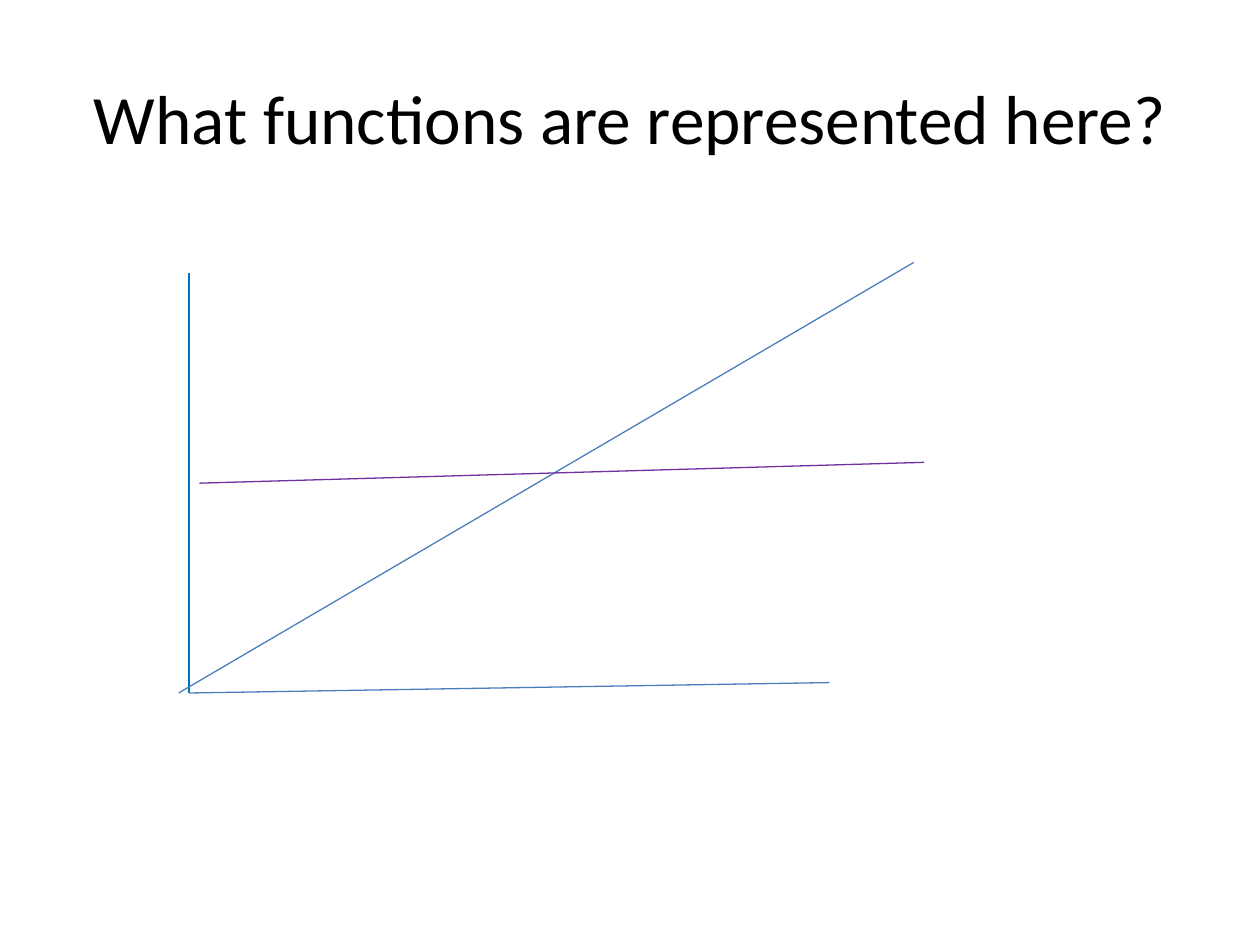
from pptx import Presentation
from pptx.dml.color import RGBColor
from pptx.enum.shapes import MSO_CONNECTOR
from pptx.enum.text import MSO_ANCHOR, PP_ALIGN
from pptx.oxml.ns import qn
from pptx.util import Cm, Pt
from lxml.etree import SubElement

BLACK = RGBColor(0x00, 0x00, 0x00)
AXIS_BLUE = RGBColor(0x00, 0x70, 0xC0)
LINE_BLUE = RGBColor(0x4B, 0x7E, 0xBC)
PURPLE = RGBColor(0x70, 0x30, 0xA0)

TITLE_BOX = {"left": Cm(1.27), "top": Cm(0.76), "width": Cm(22.86), "height": Cm(3.18)}
TITLE_FONT = {"name": "Calibri", "size": Pt(39.6), "bold": False}
GRAPH_LEFT, GRAPH_TOP = Cm(3.6), Cm(5.29)
VERTICAL_AXIS = ((0.21, 0.21), (0.21, 8.68), AXIS_BLUE)
HORIZONTAL_AXIS = ((0.21, 8.68), (13.12, 8.47), LINE_BLUE)
RISING_FUNCTION = ((0, 8.68), (14.82, 0), LINE_BLUE)
LEVEL_FUNCTION = ((0.42, 4.45), (15.03, 4.03), PURPLE)


def set_attributes(target, values):
    for name, value in values.items():
        setattr(target, name, value)


def add_title(slide, text, box):
    title = slide.shapes.title
    set_attributes(title, box)
    frame = title.text_frame
    frame.text = text
    set_attributes(frame, {"vertical_anchor": MSO_ANCHOR.MIDDLE, "word_wrap": True})
    paragraph = frame.paragraphs[0]
    paragraph.alignment = PP_ALIGN.CENTER
    font = paragraph.runs[0].font
    set_attributes(font, TITLE_FONT)
    font.color.rgb = BLACK


def add_graph(slide, left, top, lines):
    for (start_x, start_y), (end_x, end_y), color in lines:
        connector = slide.shapes.add_connector(
            MSO_CONNECTOR.STRAIGHT,
            left + Cm(start_x), top + Cm(start_y),
            left + Cm(end_x), top + Cm(end_y),
        )
        connector.line.color.rgb = color
        connector.line.width = Pt(0.75)
        SubElement(connector._element.spPr, qn("a:effectLst"))


presentation = Presentation()
set_attributes(presentation, {"slide_width": Cm(25.4), "slide_height": Cm(19.05)})
slide = presentation.slides.add_slide(presentation.slide_layouts[5])
add_title(slide, "What functions are represented here?", TITLE_BOX)
add_graph(
    slide, GRAPH_LEFT, GRAPH_TOP,
    [VERTICAL_AXIS, HORIZONTAL_AXIS, RISING_FUNCTION, LEVEL_FUNCTION],
)
presentation.save("out.pptx")
